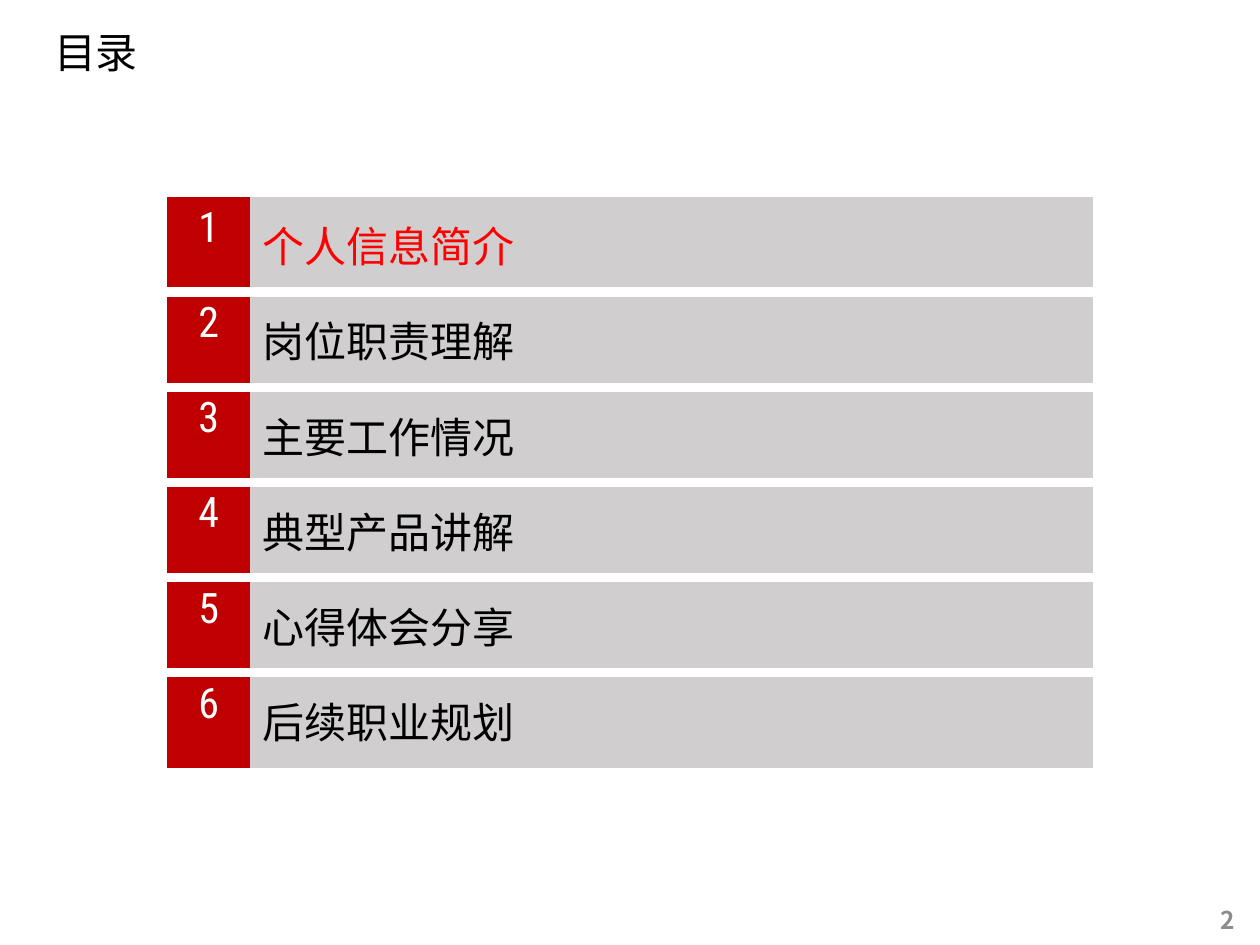
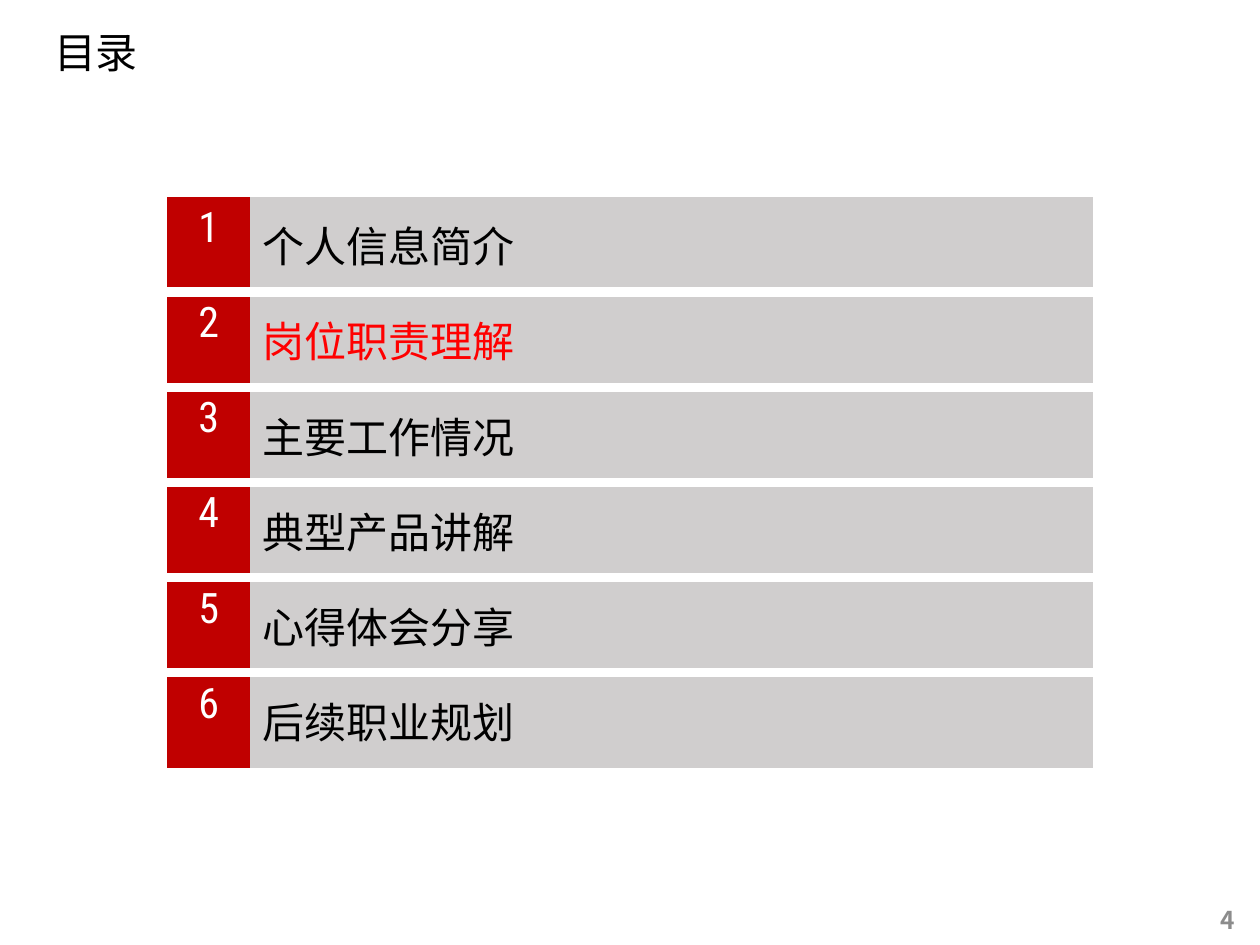
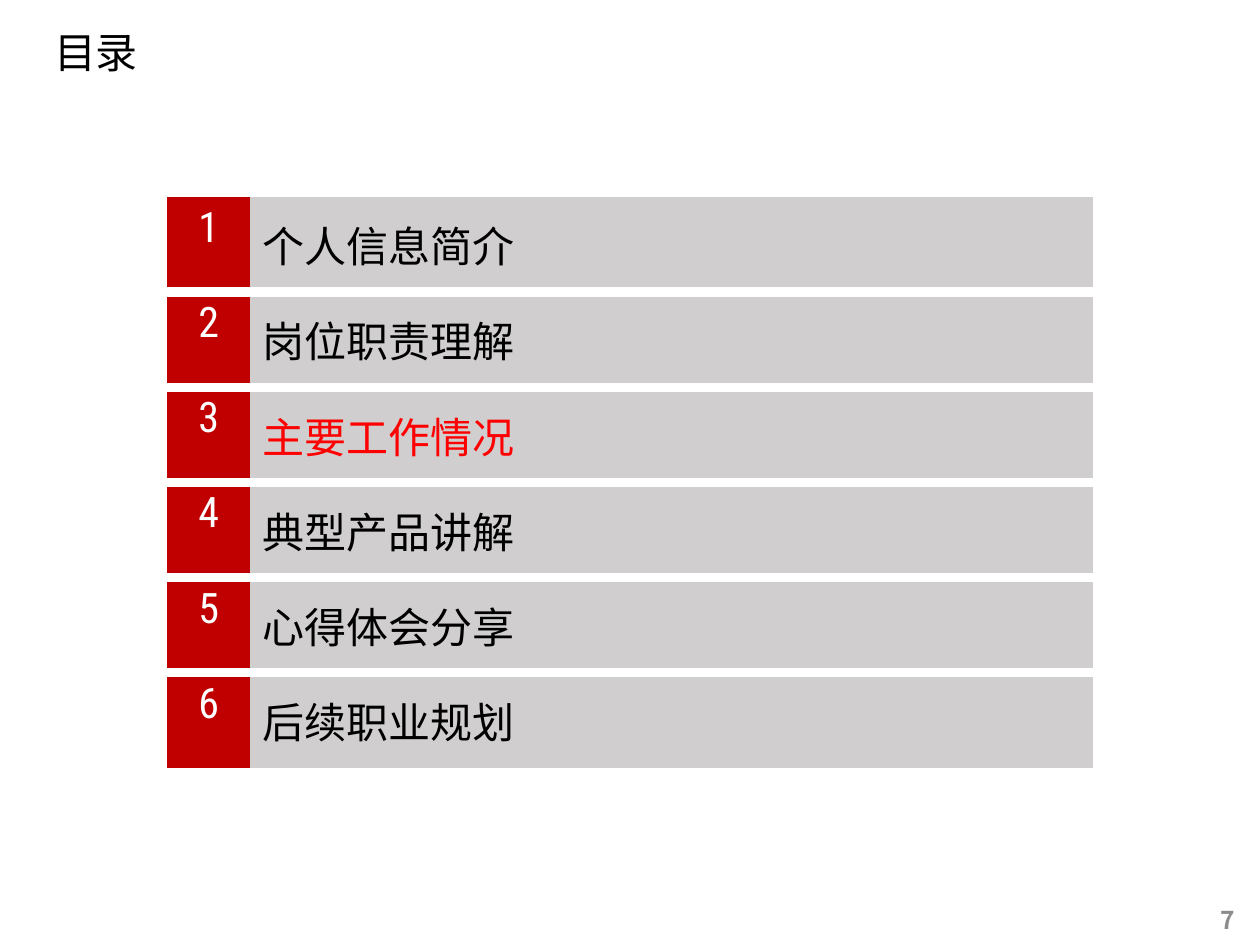
"""Build three agenda slides, each highlighting the current section."""
from dataclasses import dataclass

from lxml import etree
from pptx import Presentation
from pptx.dml.color import RGBColor
from pptx.enum.text import MSO_ANCHOR, PP_ALIGN
from pptx.oxml.ns import qn
from pptx.util import Pt

LEFT, CENTER, RIGHT = PP_ALIGN.LEFT, PP_ALIGN.CENTER, PP_ALIGN.RIGHT
TOP, MIDDLE = MSO_ANCHOR.TOP, MSO_ANCHOR.MIDDLE

CJK, CONDENSED = "Noto Sans CJK SC", "Roboto Condensed"
BLACK, WHITE, GRAY = "000000", "FFFFFF", "8C8C8C"
BADGE, BAND, HIGHLIGHT = "C00000", "D0CECE", "FF0000"

SECTIONS = ["个人信息简介", "岗位职责理解", "主要工作情况",
            "典型产品讲解", "心得体会分享", "后续职业规划"]
TABLE_LEFT, TABLE_TOP = 95.5, 112.5
COLUMN_WIDTHS = (47.5, 481.5)
ROW_HEIGHT, GAP = 54.4, 6


@dataclass(frozen=True)
class TextStyle:
    font: str
    size: float
    color: str
    align: PP_ALIGN = LEFT
    bold: bool = False
    line_spacing: float = 1.0


@dataclass(frozen=True)
class Label:
    left: float
    top: float
    width: float
    height: float
    inset_x: float
    style: TextStyle


@dataclass(frozen=True)
class Agenda:
    page: int
    current: int


TITLE = Label(16.5, 16.5, 272, 30, 14.4, TextStyle(CJK, 24, BLACK, line_spacing=0.9))
PAGE_NUMBER = Label(666, 519.8, 46.8, 11.5, 7.2, TextStyle(CJK, 14, GRAY, RIGHT, True))
AGENDAS = [Agenda(2, 1), Agenda(4, 2), Agenda(7, 3)]


def rgb(color: str) -> RGBColor:
    """Turn a hex string into a colour."""
    return RGBColor.from_string(color)


def write(tf, text: str, style: TextStyle) -> None:
    """Put one styled paragraph into a text frame."""
    tf.text = text
    p = tf.paragraphs[0]
    p.alignment = style.align
    p.line_spacing = style.line_spacing
    font = p.runs[0].font
    font.name, font.size, font.bold = style.font, Pt(style.size), style.bold
    font.color.rgb = rgb(style.color)
    etree.SubElement(p.runs[0]._r.rPr, qn("a:ea"), typeface=style.font)


def add_label(s, label: Label, text: str) -> None:
    """Draw a text box on a slide."""
    sp = s.shapes.add_textbox(Pt(label.left), Pt(label.top),
                              Pt(label.width), Pt(label.height))
    tf = sp.text_frame
    tf.word_wrap = True
    tf.vertical_anchor = MIDDLE
    tf.margin_left = tf.margin_right = Pt(label.inset_x)
    write(tf, text, label.style)


def set_borders(cell, visible: set[str]) -> None:
    """Give a cell white gap lines on the visible sides and none elsewhere."""
    tc_pr = cell._tc.get_or_add_tcPr()
    for side in "LRTB":
        ln = etree.SubElement(tc_pr, qn(f"a:ln{side}"))
        if side in visible:
            ln.set("w", str(Pt(GAP)))
            fill = etree.SubElement(ln, qn("a:solidFill"))
            etree.SubElement(fill, qn("a:srgbClr"), val=WHITE)
        else:
            ln.set("w", "0")
            etree.SubElement(ln, qn("a:noFill"))


def fill_cell(cell, text: str, style: TextStyle, fill: str,
              anchor: MSO_ANCHOR, borders: set[str]) -> None:
    """Format and fill one agenda cell."""
    set_borders(cell, borders)
    cell.fill.solid()
    cell.fill.fore_color.rgb = rgb(fill)
    cell.vertical_anchor = anchor
    write(cell.text_frame, text, style)


def add_sections(s, current: int) -> None:
    """Draw the section table with the current section highlighted."""
    count = len(SECTIONS)
    table = s.shapes.add_table(count, len(COLUMN_WIDTHS), Pt(TABLE_LEFT), Pt(TABLE_TOP),
                               Pt(sum(COLUMN_WIDTHS)), Pt(ROW_HEIGHT * count)).table
    table.first_row = table.horz_banding = False
    for column, width in zip(table.columns, COLUMN_WIDTHS):
        column.width = Pt(width)
    for number, section in enumerate(SECTIONS, 1):
        row = table.rows[number - 1]
        row.height = Pt(ROW_HEIGHT)
        badge, band = row.cells
        borders = {"T"} if number > 1 else set()
        if number < count:
            borders.add("B")
        color = HIGHLIGHT if number == current else BLACK
        fill_cell(badge, str(number), TextStyle(CONDENSED, 24, WHITE, CENTER),
                  BADGE, TOP, borders)
        fill_cell(band, section, TextStyle(CJK, 24, color), BAND, MIDDLE, borders)


def main() -> None:
    """Build and save the presentation."""
    prs = Presentation()
    prs.slide_width, prs.slide_height = Pt(720), Pt(540)
    for agenda in AGENDAS:
        s = prs.slides.add_slide(prs.slide_layouts[6])
        add_label(s, TITLE, "目录")
        add_label(s, PAGE_NUMBER, str(agenda.page))
        add_sections(s, agenda.current)
    prs.save("out.pptx")


if __name__ == "__main__":
    main()
